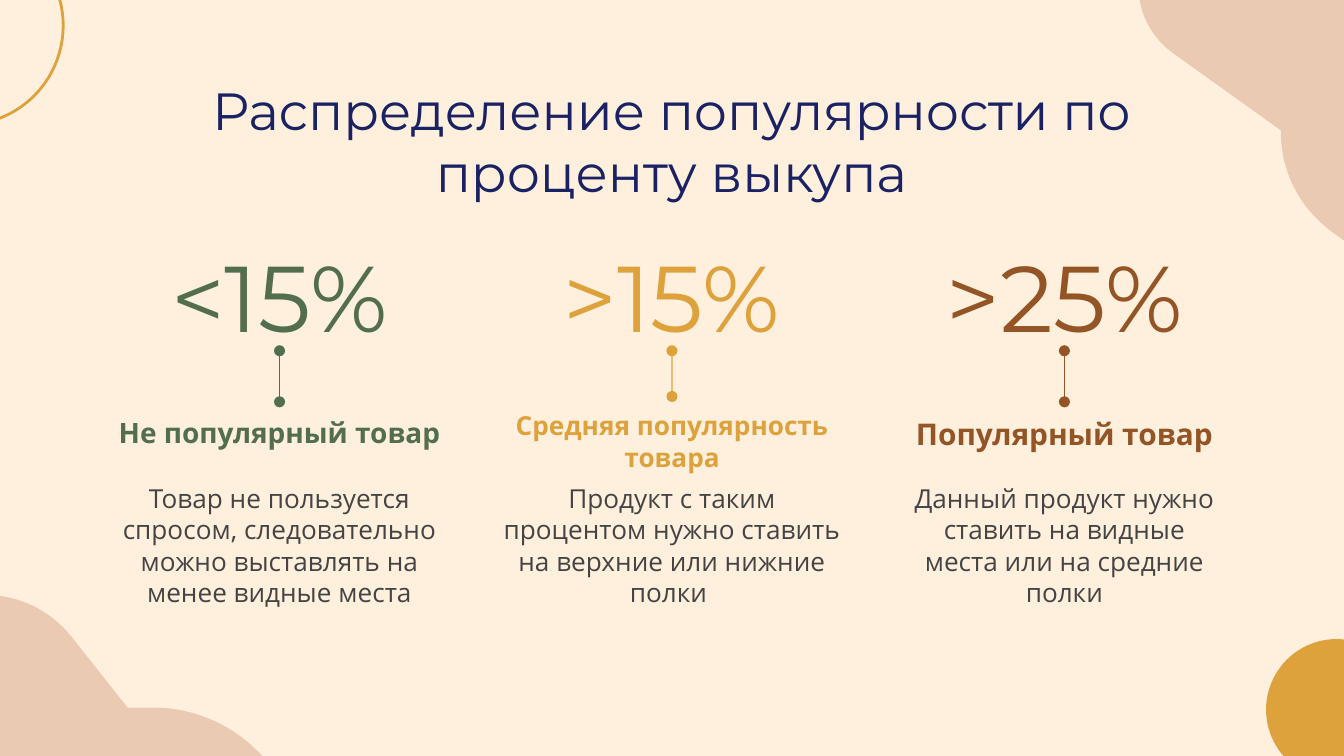
from dataclasses import dataclass

from lxml import etree
from pptx import Presentation
from pptx.dml.color import RGBColor
from pptx.enum.shapes import MSO_CONNECTOR, MSO_SHAPE
from pptx.enum.text import MSO_ANCHOR, PP_ALIGN
from pptx.oxml.ns import qn
from pptx.util import Inches, Pt


@dataclass(frozen=True)
class Theme:
    """Colours, fonts and type sizes of the slide."""
    paper: str = "FFF0DE"
    blush: str = "EBCAB3"
    gold: str = "DEA23C"
    green: str = "536E4C"
    brown: str = "945526"
    navy: str = "1A2263"
    ink: str = "444444"
    display: str = "Montserrat"
    body: str = "Open Sans"
    title_size: int = 28
    number_size: int = 50
    text_size: int = 14


THEME = Theme()
COLUMN_PITCH = 2.92
COLUMN_TOP = 1.68

LEFT_BLOB = [
    [(0, 0.92)],
    [(0, 1.14), (0.18, 1.33), (0.4, 1.33)],
    [(2.17, 1.33)],
    [(2.09, 1.22)],
    [(1.88, 0.98), (1.58, 0.84), (1.26, 0.84)],
    [(1.07, 0.84)],
    [(0.65, 0.31)],
    [(0.49, 0.11), (0.25, 0), (0, 0)],
]
RIGHT_BLOB = [
    [(0, 0.2), (0.09, 0.38), (0.25, 0.5)],
    [(1.06, 1.08)],
    [(1.06, 1.09)],
    [(1.06, 1.38), (1.19, 1.64), (1.42, 1.82)],
    [(1.68, 2.01)],
    [(1.68, 0.34)],
    [(1.68, 0.15), (1.53, 0), (1.34, 0)],
]


@dataclass(frozen=True)
class Column:
    """Content of one popularity column, with its (width, height) boxes."""
    number: str
    label: str
    text: str
    color: str
    label_size: int
    label_top: float
    label_box: tuple
    text_box: tuple


COLUMNS = [
    Column("<15%", "Не популярный товар",
           "Товар не пользуется спросом, следовательно можно выставлять на менее видные места",
           THEME.green, 15, 1.31, (2.69, 0.43), (2.76, 1.4)),
    Column(">15%", "Средняя популярность товара",
           "Продукт с таким процентом нужно ставить на верхние или нижние полки ",
           THEME.gold, 14, 1.27, (2.92, 0.63), (2.84, 1.07)),
    Column(">25%", "Популярный товар",
           "Данный продукт нужно ставить на видные места или на средние полки",
           THEME.brown, 16, 1.31, (2.76, 0.56), (2.47, 1.07)),
]


def rgb(color):
    """Turn a hex string into a colour."""
    return RGBColor.from_string(color)


def add_text(page, box, text, font, size, color, bold=False):
    """Add a centred paragraph in a wrapped text box."""
    shape = page.shapes.add_textbox(*map(Inches, box))
    frame = shape.text_frame
    frame.word_wrap = True
    frame.vertical_anchor = MSO_ANCHOR.TOP
    frame.margin_left = frame.margin_right = Inches(0.1)
    frame.margin_top = frame.margin_bottom = Inches(0.1)
    para = frame.paragraphs[0]
    para.text = text
    para.alignment = PP_ALIGN.CENTER
    para.font.name = font
    para.font.size = Pt(size)
    para.font.bold = bold
    para.font.color.rgb = rgb(color)
    return shape


def curve_points(start, control1, control2, end, steps=16):
    """List points along a cubic curve, leaving out its start."""
    points = []
    for step in range(1, steps + 1):
        t = step / steps
        weights = ((1 - t) ** 3, 3 * t * (1 - t) ** 2, 3 * t * t * (1 - t), t ** 3)
        corners = (start, control1, control2, end)
        points.append(tuple(sum(w * c[axis] for w, c in zip(weights, corners))
                            for axis in (0, 1)))
    return points


def add_blob(page, left, top, segments):
    """Add a soft outline whose straight and curved segments start at left, top."""
    points = [(0, 0)]
    for segment in segments:
        points += segment if len(segment) == 1 else curve_points(points[-1], *segment)
    places = [(Inches(left + x), Inches(top + y)) for x, y in points]
    builder = page.shapes.build_freeform(*places[0], scale=1.0)
    builder.add_line_segments(places[1:], close=True)
    blob = builder.convert_to_shape()
    blob.shadow.inherit = False
    blob.fill.solid()
    blob.fill.fore_color.rgb = rgb(THEME.blush)
    blob.line.fill.background()


def add_circle(page, left, top, size, filled):
    """Add a gold disc or a gold ring."""
    circle = page.shapes.add_shape(
        MSO_SHAPE.OVAL, *map(Inches, (left, top, size, size)))
    circle.shadow.inherit = False
    if filled:
        circle.fill.solid()
        circle.fill.fore_color.rgb = rgb(THEME.gold)
        circle.line.fill.background()
    else:
        circle.fill.background()
        circle.line.color.rgb = rgb(THEME.gold)
        circle.line.width = Pt(1.5)


def add_decor(page, width, height):
    """Decorate the four corners of the slide."""
    add_blob(page, -0.12, height - 1.2, LEFT_BLOB)
    add_blob(page, width - 1.53, -0.11, RIGHT_BLOB)
    add_circle(page, -1.01, -0.55, 1.48, filled=False)
    add_circle(page, width - 0.58, height - 0.87, 1.05, filled=True)


def add_stem(page, upper, lower, color):
    """Join two boxes with a line that has round ends."""
    stem = page.shapes.add_connector(MSO_CONNECTOR.STRAIGHT, 0, 0, 0, 0)
    stem.begin_connect(upper, 2)
    stem.end_connect(lower, 0)
    stem.line.color.rgb = rgb(color)
    stem.line.width = Pt(0.75)
    outline = stem.line._get_or_add_ln()
    for end in ("a:headEnd", "a:tailEnd"):
        etree.SubElement(outline, qn(end), type="oval")
    etree.SubElement(stem._element.spPr, qn("a:effectLst"))


def add_column(page, center, top, column):
    """Stack a number, stem, label and text around a vertical axis."""
    def centered(offset, width, height):
        return center - width / 2, top + offset, width, height

    number = add_text(page, centered(0, 2.47, 0.93), column.number,
                      THEME.display, THEME.number_size, column.color)
    label = add_text(page, centered(column.label_top, *column.label_box), column.label,
                     THEME.body, column.label_size, column.color, bold=True)
    add_text(page, centered(1.81, *column.text_box), column.text,
             THEME.body, THEME.text_size, THEME.ink)
    add_stem(page, number, label, column.color)


def main():
    """Build and save the slide."""
    width = 10
    height = width * 9 / 16
    deck = Presentation()
    deck.slide_width, deck.slide_height = Inches(width), Inches(height)
    page = deck.slides.add_slide(deck.slide_layouts[6])
    page.background.fill.solid()
    page.background.fill.fore_color.rgb = rgb(THEME.paper)
    add_decor(page, width, height)
    add_text(page, (1.15, 0.48, 7.69, 0.63), "Распределение популярности по проценту выкупа",
             THEME.display, THEME.title_size, THEME.navy)
    for index, column in enumerate(COLUMNS):
        add_column(page, width / 2 + (index - 1) * COLUMN_PITCH, COLUMN_TOP, column)
    deck.save("out.pptx")


if __name__ == "__main__":
    main()
